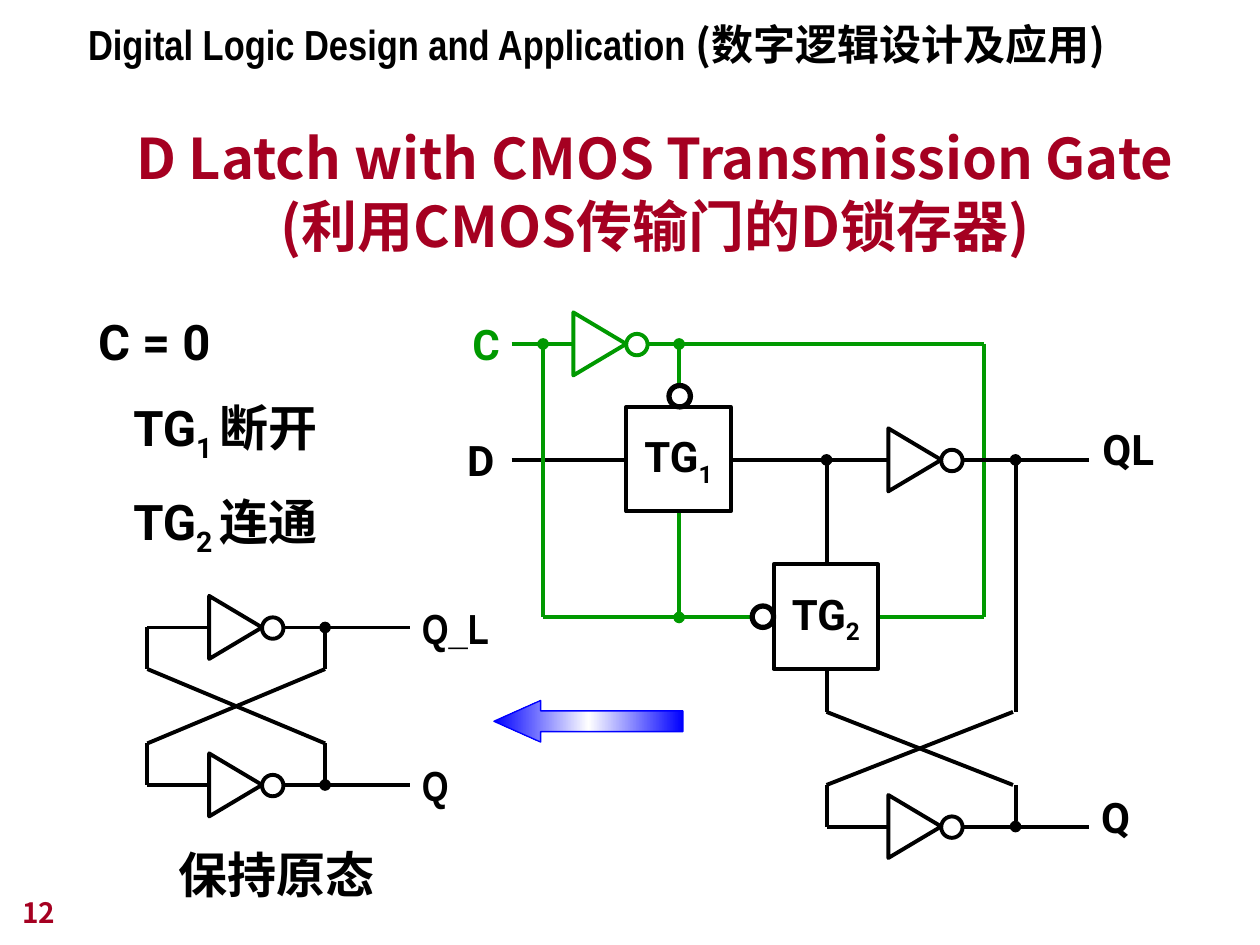
from copy import deepcopy
from lxml.etree import SubElement
from pptx import Presentation
from pptx.dml.color import RGBColor
from pptx.enum.shapes import MSO_CONNECTOR, MSO_SHAPE
from pptx.enum.text import MSO_ANCHOR, MSO_AUTO_SIZE, PP_ALIGN
from pptx.oxml.ns import qn
from pptx.util import Inches, Pt

INK, GREEN, RED, BLUE = "000000", "009900", "A50021", "0000FF"
ROBOTO, NARROW, NOTO = "Roboto", "Arial Narrow", "Noto Sans CJK JP"

deck = Presentation()
deck.slide_width, deck.slide_height = Inches(10), Inches(7.5)
slide = deck.slides.add_slide(deck.slide_layouts[6])
shapes = slide.shapes


def write(para, words, size, hue=INK, face=ROBOTO, low=False):
    run = para.add_run()
    run.text = words
    font = run.font
    font.size, font.bold, font.name = Pt(size), True, face
    font.color.rgb = RGBColor.from_string(hue)
    if low:
        font._element.set("baseline", "-25000")


def outline(kind, left, top, wide, high, hue=INK, width=2.25):
    part = shapes.add_shape(kind, Inches(left), Inches(top), Inches(wide), Inches(high))
    part.shadow.inherit = False
    part.fill.background()
    part.line.color.rgb = RGBColor.from_string(hue)
    part.line.width = Pt(width)
    return part


wires = [
    (4.06, 3.65, 4.97, 3.65, INK, False),
    (8.06, 3.65, 8.06, 5.65, INK, True),
    (6.56, 3.65, 6.56, 4.48, INK, True),
    (4.31, 4.9, 5.97, 4.9, GREEN, False),
    (6.97, 4.9, 7.81, 4.9, GREEN, False),
    (7.81, 2.73, 7.81, 4.9, GREEN, False),
    (4.31, 2.73, 4.31, 4.9, GREEN, True),
    (5.39, 4.9, 5.39, 4.06, GREEN, True),
    (5.39, 2.73, 5.39, 3.06, GREEN, True),
    (2.58, 4.98, 2.58, 5.31, INK, True),
]

for left, right, edge, head, top, base, foot in [
    (6.56, 8.06, 8.04, 5.31, 5.65, 6.23, 6.56),
    (1.17, 2.58, 2.58, 4.98, 5.31, 5.9, 6.23),
]:
    wires += [
        (left, head, left, top, INK, False),
        (left, top, edge, base, INK, False),
        (left, base, edge, top, INK, False),
        (left, base, left, foot, INK, False),
        (right, foot, right, base, INK, True),
    ]

for tip, mid, start, end, hue in [
    (7.47, 3.65, 5.79, 8.64, INK),
    (7.47, 6.56, 6.56, 8.64, INK),
    (4.97, 2.73, 4.06, 7.81, GREEN),
    (2.08, 4.98, 1.17, 3.25, INK),
    (2.08, 6.23, 1.17, 3.25, INK),
]:
    gate = outline(MSO_SHAPE.ISOSCELES_TRIANGLE, tip - 0.46, mid - 0.21, 0.5, 0.42, hue)
    gate.rotation = 90
    outline(MSO_SHAPE.OVAL, tip, mid - 0.08, 0.17, 0.17, hue)
    wires += [
        (start, mid, tip - 0.41, mid, hue, False),
        (tip + 0.17, mid, end, mid, hue, False),
    ]

for x1, y1, x2, y2, hue, dot in wires:
    wire = shapes.add_connector(
        MSO_CONNECTOR.STRAIGHT, Inches(x1), Inches(y1), Inches(x2), Inches(y2))
    wire.line.color.rgb = RGBColor.from_string(hue)
    wire.line.width = Pt(2.25)
    if dot:
        SubElement(wire.line._get_or_add_ln(), qn("a:headEnd"), type="oval")
    SubElement(wire._element.spPr, qn("a:effectLst"))

for num, left, top, x, y in [("1", 4.97, 3.23, 5.31, 3.06), ("2", 6.14, 4.48, 5.97, 4.81)]:
    box = outline(MSO_SHAPE.RECTANGLE, left, top, 0.83, 0.83)
    frame = box.text_frame
    frame.word_wrap = False
    frame.vertical_anchor = MSO_ANCHOR.MIDDLE
    para = frame.paragraphs[0]
    para.alignment = PP_ALIGN.CENTER
    write(para, "TG", 24)
    write(para, num, 24, low=True)
    outline(MSO_SHAPE.OVAL, x, y, 0.17, 0.17, width=3)

arrow = outline(MSO_SHAPE.LEFT_ARROW, 3.92, 5.56, 1.5, 0.33, BLUE, 0.75)
arrow.adjustments[0], arrow.adjustments[1] = 0.5, 1.125
arrow.fill.gradient()
arrow.fill.gradient_angle = 180
stops = arrow._element.spPr.find(qn("a:gradFill")).find(qn("a:gsLst"))
stops.insert(1, deepcopy(stops[0]))
for stop, place, hue in zip(arrow.fill.gradient_stops, (0, 0.5, 1), (BLUE, "FFFFFF", BLUE)):
    stop.position = place
    stop.color.rgb = RGBColor.from_string(hue)

for left, top, wide, high, words, size, hue, face in [
    (8.65, 3.31, 0.65, 0.5, "QL", 24, INK, ROBOTO),
    (8.64, 6.23, 0.46, 0.5, "Q", 24, INK, ROBOTO),
    (3.61, 3.4, 0.44, 0.5, "D", 24, INK, ROBOTO),
    (3.65, 2.48, 0.41, 0.5, "C", 24, GREEN, ROBOTO),
    (3.25, 4.73, 0.73, 0.5, "Q_L", 24, INK, NARROW),
    (3.25, 5.98, 0.41, 0.5, "Q", 24, INK, NARROW),
    (1.32, 6.65, 1.75, 0.57, "保持原态", 28, INK, NARROW),
]:
    label = shapes.add_textbox(Inches(left), Inches(top), Inches(wide), Inches(high))
    label.text_frame.word_wrap = False
    label.text_frame.auto_size = MSO_AUTO_SIZE.SHAPE_TO_FIT_TEXT
    write(label.text_frame.paragraphs[0], words, size, hue, face)

state = shapes.add_textbox(Inches(0.68), Inches(2.24), Inches(2.06), Inches(2.24)).text_frame
state.word_wrap = False
state.auto_size = MSO_AUTO_SIZE.SHAPE_TO_FIT_TEXT
para = state.paragraphs[0]
para.line_spacing = 1.4
write(para, "C = 0", 28)
for num, mode in [("1 ", "断开"), ("2 ", "连通")]:
    para = state.add_paragraph()
    para.line_spacing = 1.4
    para._p.get_or_add_pPr().set("marL", str(Inches(0.28)))
    write(para, "TG", 28)
    write(para, num, 28, low=True)
    write(para, mode, 28)

course = shapes.add_textbox(Inches(0.6), Inches(0.1), Inches(8.41), Inches(0.5)).text_frame
course.word_wrap = True
para = course.paragraphs[0]
write(para, "Digital Logic Design and Application ", 24, face=NARROW)
write(para, "(数字逻辑设计及应用)", 24, face=NOTO)

title = shapes.add_textbox(Inches(0.75), Inches(0.84), Inches(8.9), Inches(1.26)).text_frame
title.word_wrap = True
title.vertical_anchor = MSO_ANCHOR.BOTTOM
para = title.paragraphs[0]
para.alignment = PP_ALIGN.CENTER
write(para, "D Latch with CMOS Transmission Gate", 32, RED, NOTO)
para.add_line_break()
write(para, "(利用CMOS传输门的D锁存器)", 32, RED, NOTO)

page = shapes.add_textbox(Inches(0.08), Inches(6.92), Inches(2.08), Inches(0.5)).text_frame
page.word_wrap = True
page.vertical_anchor = MSO_ANCHOR.BOTTOM
write(page.paragraphs[0], "12", 16, RED, NOTO)

deck.save("out.pptx")
